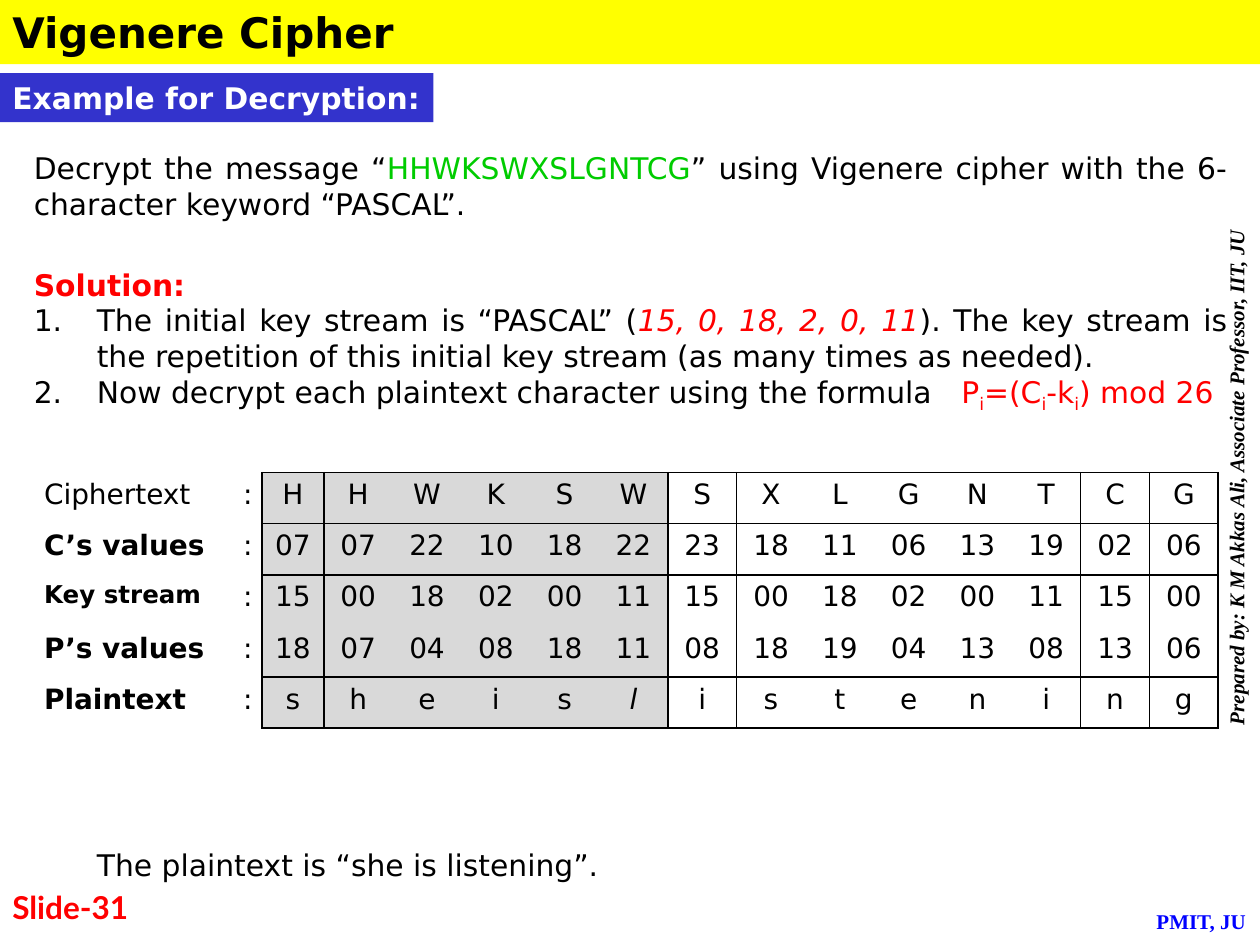
from dataclasses import dataclass

from lxml import etree
from pptx import Presentation
from pptx.dml.color import RGBColor
from pptx.enum import shapes, text
from pptx.oxml import ns
from pptx.util import Emu, Inches, Pt

COLS, ROWS = 100, 75
CELL = Inches(0.1)
NO_STYLE = "{2D5ABB26-0587-4C30-8999-92F81FD0307C}"


@dataclass(frozen=True)
class Theme:
    sans: str = "DejaVu Sans"
    serif: str = "Times New Roman"
    foot: str = "Lato"
    black: str = "000000"
    white: str = "FFFFFF"
    red: str = "FF0000"
    green: str = "00CC00"
    blue: str = "0000FF"
    navy: str = "3333CC"
    yellow: str = "FFFF00"
    gray: str = "D9D9D9"
    title: int = 24
    page: int = 18
    body: int = 17
    cell: int = 16
    label: int = 14
    note: int = 12


T = Theme()

GRID = (
    ("Ciphertext", "H H W K S W S X L G N T C G"),
    ("C’s values", "07 07 22 10 18 22 23 18 11 06 13 19 02 06"),
    ("Key stream", "15 00 18 02 00 11 15 00 18 02 00 11 15 00"),
    ("P’s values", "18 07 04 08 18 11 08 18 19 04 13 08 13 06"),
    ("Plaintext", "s h e i s l i s t e n i n g"),
)


def box(*cells):
    """Turn grid columns and rows into lengths."""
    return [Emu(round(n * CELL)) for n in cells]


def tint(font, color):
    font.color.rgb = RGBColor.from_string(color)


def style(font, size=T.body, face=T.sans, color=T.black, bold=False, italic=False):
    font.size, font.name = Pt(size), face
    font.bold, font.italic = bold, italic
    tint(font, color)


def write(para, parts, align="LEFT", **look):
    """Fill a paragraph with strings or (string, color, run attributes)."""
    para.alignment = getattr(text.PP_ALIGN, align)
    style(para.font, **look)
    for part in [parts] if isinstance(parts, str) else parts:
        words, color, attrs = (part, None, {}) if isinstance(part, str) else part
        run = para.add_run()
        run.text = words
        if color:
            tint(run.font, color)
        for key, value in attrs.items():
            run.font._element.set(key, value)


def number(para):
    props = para._p.get_or_add_pPr()
    props.set("marL", str(Inches(0.5)))
    props.set("indent", str(-Inches(0.5)))
    mark = etree.Element(ns.qn("a:buAutoNum"), type="arabicPeriod")
    props.insert(0, mark)


def label(slide, place, parts, middle=False, **look):
    frame = slide.shapes.add_textbox(*box(*place)).text_frame
    frame.word_wrap = True
    if middle:
        frame.vertical_anchor = text.MSO_ANCHOR.MIDDLE
    write(frame.paragraphs[0], parts, **look)
    return frame


def bar(slide, place, words, fill, wrap=True, **look):
    shape = slide.shapes.add_shape(shapes.MSO_SHAPE.RECTANGLE, *box(*place))
    shape.shadow.inherit = False
    shape.fill.solid()
    tint(shape.fill, fill) if hasattr(shape.fill, "color") else None
    shape.fill.fore_color.rgb = RGBColor.from_string(fill)
    shape.line.fill.background()
    frame = shape.text_frame
    frame.word_wrap = wrap
    frame.vertical_anchor = text.MSO_ANCHOR.TOP
    write(frame.paragraphs[0], words, bold=True, **look)


def edge(cell, side):
    line = etree.SubElement(cell._tc.get_or_add_tcPr(), ns.qn("a:ln" + side), w=str(Pt(1)))
    fill = etree.SubElement(line, ns.qn("a:solidFill"))
    etree.SubElement(fill, ns.qn("a:srgbClr"), val=T.black)


def rule(cell, row, col):
    """Frame each key block and set off the first and last rows."""
    if col > 1:
        sides = {"L": col in (2, 8, 14), "R": col in (7, 13, 15),
                 "T": row in (0, 1, 4), "B": row in (0, 3, 4)}
        for side in (s for s, on in sides.items() if on):
            edge(cell, side)
    elif col == 1:
        edge(cell, "R")
    if 2 <= col <= 7:
        cell.fill.solid()
        cell.fill.fore_color.rgb = RGBColor.from_string(T.gray)
    else:
        cell.fill.background()


def cipher(slide, place):
    count = len(GRID[0][1].split()) + 2
    frame = slide.shapes.add_table(len(GRID), count, *box(*place))
    table = frame.table
    table.first_row = table.horz_banding = False
    table._tbl.tblPr.find(ns.qn("a:tableStyleId")).text = NO_STYLE
    lead = [15.8, 2.5, 4.9]
    rest = (place[2] - sum(lead)) / (count - len(lead))
    for col, width in zip(table.columns, box(*lead, *[rest] * (count - len(lead)))):
        col.width = width
    for r, (name, values) in enumerate(GRID):
        for c, words in enumerate([name, ":", *values.split()]):
            cell = table.cell(r, c)
            write(cell.text_frame.paragraphs[0], words,
                  align="CENTER" if c > 1 else "LEFT",
                  size=T.label if words == "Key stream" else T.cell,
                  bold=c == 0 and r > 0, italic=words == "l")
            rule(cell, r, c)


def solve(slide):
    frame = label(slide, (1.7, 20.8, 96.7, 12.4), "Solution:", middle=True,
                  align="JUSTIFY", color=T.red, bold=True)
    low = ("i", T.red, {"baseline": "-25000"})
    steps = (
        ["The initial key stream is “PASCAL” (",
         ("15, 0, 18, 2, 0, 11", T.red, {"i": "1"}),
         "). The key stream is the repetition of this initial key stream "
         "(as many times as needed)."],
        ["Now decrypt each plaintext character using the formula",
         (" ", None, {"spc": "1080"}),
         ("P", T.red, {}), low, ("=(C", T.red, {}), low,
         ("-k", T.red, {}), low, (") mod 26", T.red, {})],
    )
    for step in steps:
        para = frame.add_paragraph()
        write(para, step, align="JUSTIFY")
        number(para)


def margins(slide):
    label(slide, (90.8, 71.6, 9.2, 3), "PMIT, JU",
          size=T.note, face=T.serif, color=T.blue, bold=True)
    side = label(slide, (96.6, 3.3, 4, 69.2),
                 "Prepared by: K M Akkas Ali, Associate Professor, IIT, JU",
                 align="CENTER", size=T.note, face=T.serif, bold=True, italic=True)
    side._txBody.bodyPr.set("vert", "vert270")
    label(slide, (0, 70, 20.8, 5), "Slide-31",
          size=T.page, face=T.foot, color=T.red, bold=True)


def main():
    deck = Presentation()
    deck.slide_width, deck.slide_height = box(COLS, ROWS)
    slide = deck.slides.add_slide(deck.slide_layouts[6])
    margins(slide)
    label(slide, (1.7, 11.4, 96.7, 6.7),
          ["Decrypt the message “", ("HHWKSWXSLGNTCG", T.green, {}),
           "” using Vigenere cipher with the 6-character keyword “PASCAL”."],
          middle=True, align="JUSTIFY")
    bar(slide, (0, 0, COLS, 5.1), "Vigenere Cipher", T.yellow, size=T.title)
    bar(slide, (0, 5.8, 34.4, 3.9), "Example for Decryption:", T.navy,
        wrap=False, color=T.white)
    solve(slide)
    label(slide, (6.7, 66.7, 87.5, 3.9), "The plaintext is “she is listening”.",
          middle=True, align="JUSTIFY")
    cipher(slide, (2.5, 37.5, 94.2, 20.3))
    deck.save("out.pptx")


if __name__ == "__main__":
    main()
